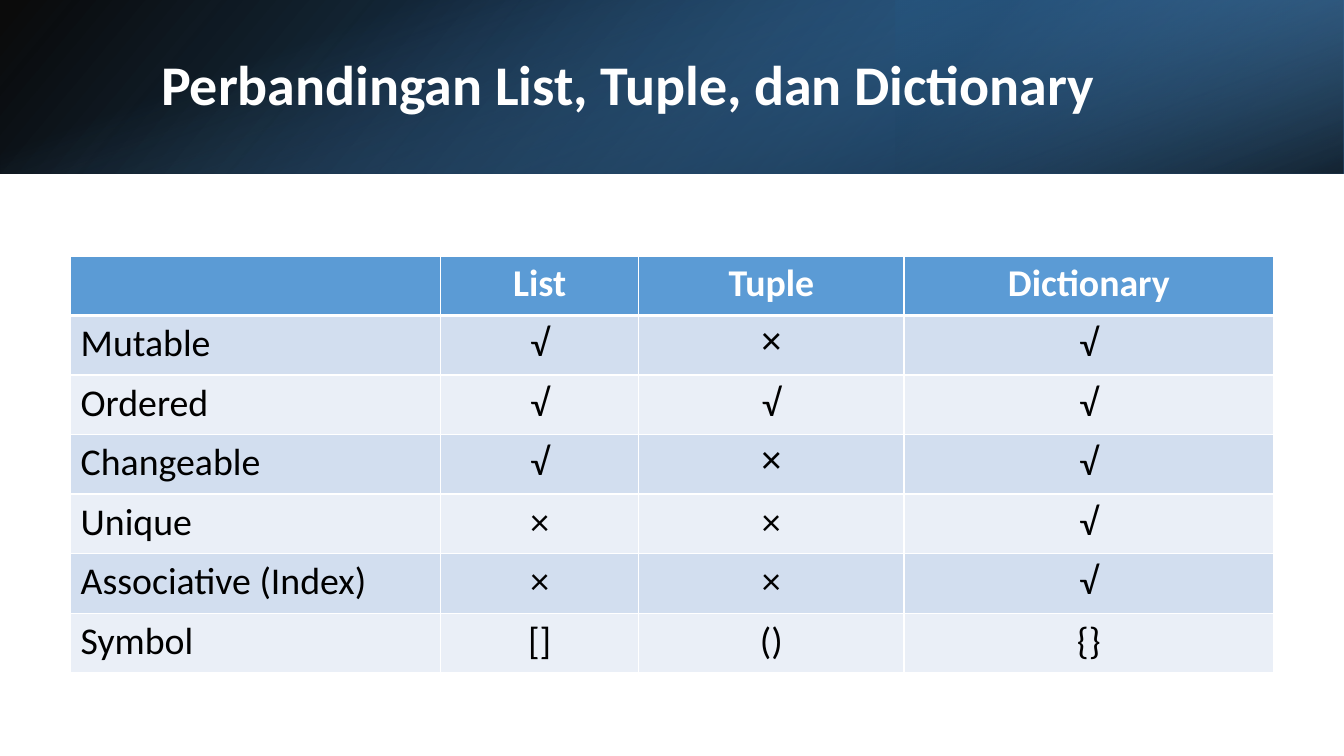
from lxml import etree
from pptx import Presentation
from pptx import util as u
from pptx.dml.color import RGBColor
from pptx.enum import shapes, text
from pptx.oxml.ns import qn

INK = {"white": "FFFFFF", "black": "000000", "head": "5B9BD5", "blue": "2E75B6",
       "navy": "1F4E79", "odd": "D2DEEF", "even": "EAEFF7"}

# left, top, width, height (cm), rotation, flip, angle, stops (place, colour, opacity %)
BANDS = [
    (0, 0, 33.87, 4.37, 0, True, 140, [(0, "black", 96), (1, "blue", 100)]),
    (22.58, 0, 11.29, 4.37, 180, True, 320, [(0.19, "navy", 68), (1, "head", 79)]),
    (14.75, -14.75, 4.37, 33.87, 90, False, 340, [(0.23, "head", 0), (0.99, "black", 74)]),
]
COLS = [9.32, 5, 6.68, 9.32]
ROW = 1.5
ROWS = [
    ["", "List", "Tuple", "Dictionary"],
    ["Mutable", "√", "×", "√"],
    ["Ordered", "√", "√", "√"],
    ["Changeable", "√", "×", "√"],
    ["Unique", "×", "×", "√"],
    ["Associative (Index)", "×", "×", "√"],
    ["Symbol", "[]", "()", "{}"],
]
ARIAL = {(1, 2), (3, 2)}


def rgb(name):
    return RGBColor.from_string(INK[name])


def write(frame, words, color, align=text.PP_ALIGN.LEFT, **form):
    para = frame.paragraphs[0]
    para.alignment = align
    run = para.add_run()
    run.text = words
    run.font.color.rgb = rgb(color)
    for key, value in form.items():
        setattr(run.font, key, value)
    return para


def add_band(slide, left, top, width, height, turn, flip, angle, stops):
    """Add a rectangle with a see-through linear gradient."""
    band = slide.shapes.add_shape(shapes.MSO_SHAPE.RECTANGLE,
                                  *map(u.Cm, (left, top, width, height)))
    band.shadow.inherit = False
    band.line.fill.background()
    band.rotation = turn
    props = band.element.spPr
    if flip:
        props.get_or_add_xfrm().set("flipH", "1")
    band.fill.gradient()
    band.fill.gradient_angle = 360 - angle
    for stop, (place, color, _) in zip(band.fill.gradient_stops, stops):
        stop.position = place
        stop.color.rgb = rgb(color)
    for mark, (_, _, solid) in zip(props.iter(qn("a:srgbClr")), stops):
        etree.SubElement(mark, qn("a:alpha")).set("val", str(solid * 1000))


def add_title(slide, words):
    box = slide.shapes.add_textbox(*map(u.Cm, (3.81, 0.97, 27.89, 2.44)))
    frame = box.text_frame
    frame.word_wrap = True
    frame.vertical_anchor = text.MSO_ANCHOR.MIDDLE
    para = write(frame, words, "white", name="Calibri", size=u.Pt(40), bold=True)
    para.line_spacing = 0.9


def edge(cell, widths):
    """Draw white borders, with widths in points by side."""
    props = cell._tc.get_or_add_tcPr()
    for at, (side, width) in enumerate(widths.items()):
        line = etree.Element(qn("a:ln" + side), w=str(u.Pt(width)))
        fill = etree.SubElement(line, qn("a:solidFill"))
        etree.SubElement(fill, qn("a:srgbClr")).set("val", INK["white"])
        props.insert(at, line)


def add_grid(slide):
    grid = slide.shapes.add_table(len(ROWS), len(COLS), u.Cm(1.78), u.Cm(6.45),
                                  u.Cm(sum(COLS)), u.Cm(ROW * len(ROWS))).table
    for col, width in zip(grid.columns, COLS):
        col.width = u.Cm(width)
    for r, row in enumerate(ROWS):
        grid.rows[r].height = u.Cm(ROW)
        head = r == 0
        shade = "head" if head else "odd" if r % 2 else "even"
        for c, words in enumerate(row):
            cell = grid.cell(r, c)
            cell.fill.solid()
            cell.fill.fore_color.rgb = rgb(shade)
            edge(cell, {"L": 1, "R": 1, "T": 3 if r == 1 else 1, "B": 3 if head else 1})
            if words:
                write(cell.text_frame, words, "white" if head else "black",
                      text.PP_ALIGN.CENTER if c else text.PP_ALIGN.LEFT,
                      name="Arial" if (r, c) in ARIAL else "Calibri",
                      size=u.Pt(27), bold=head)


def main():
    deck = Presentation()
    deck.slide_width, deck.slide_height = u.Cm(33.87), u.Cm(19.05)
    slide = deck.slides.add_slide(deck.slide_layouts[6])
    for band in BANDS:
        add_band(slide, *band)
    add_title(slide, "Perbandingan List, Tuple, dan Dictionary")
    add_grid(slide)
    deck.save("out.pptx")


if __name__ == "__main__":
    main()
